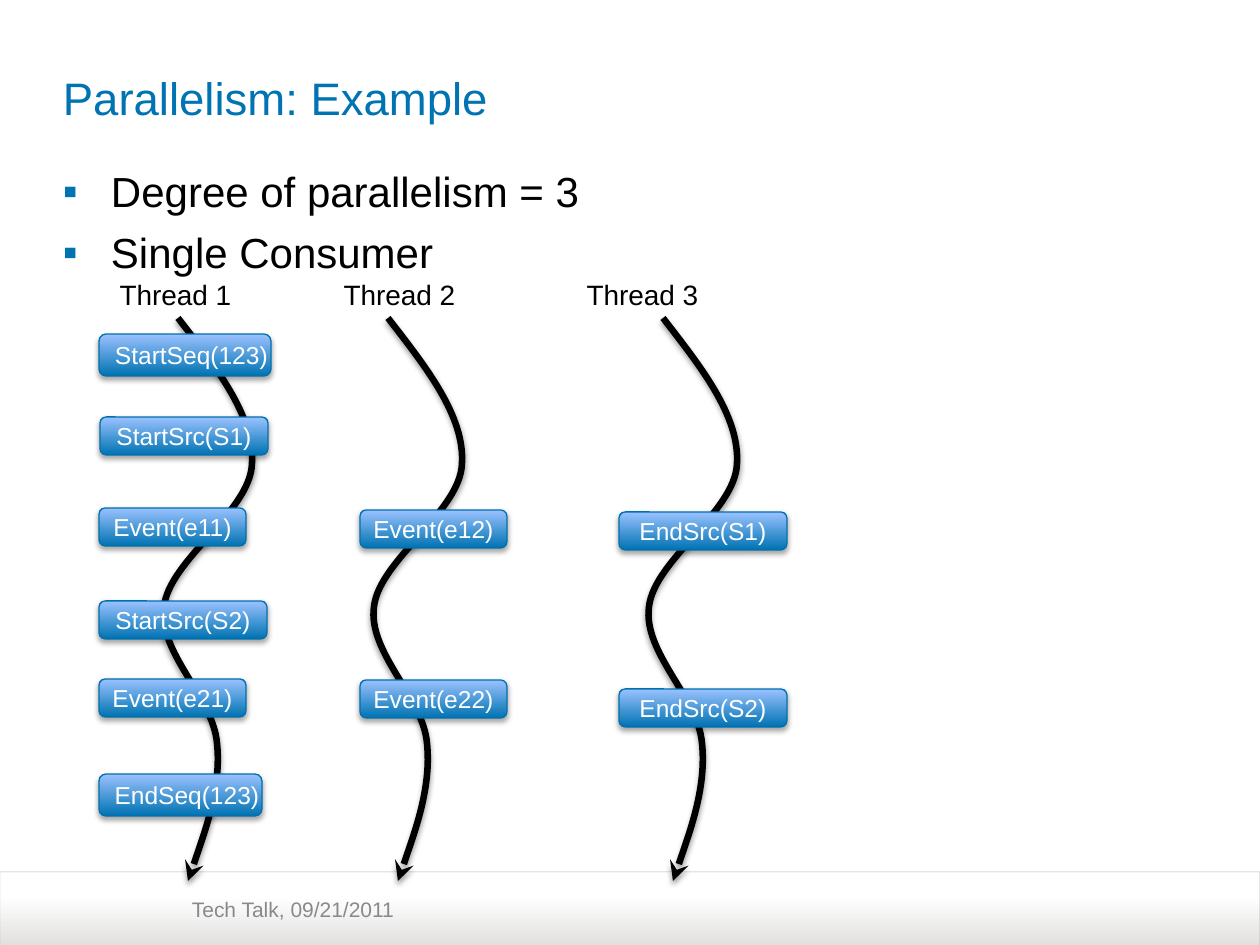
"""Builds the slide "Parallelism: Example" with three threads and their calls."""
from dataclasses import dataclass
from lxml.etree import SubElement
from pptx import Presentation
from pptx.dml.color import RGBColor
from pptx.enum.shapes import MSO_SHAPE
from pptx.enum.text import MSO_ANCHOR, PP_ALIGN
from pptx.oxml.ns import qn
from pptx.util import Emu, Pt

SCALE = 914400 / 126


@dataclass(frozen=True)
class Theme:
    font: str = "Arial"
    accent: str = "0073B2"
    accent_light: str = "9BC2FF"
    card_edge: str = "0070AE"
    ink: str = "000000"
    paper: str = "FFFFFF"
    footer_ink: str = "88898B"
    footer_shade: str = "E1E0DF"
    footer_edge: str = "A6A6A6"
    title_size: int = 26
    body_size: int = 24
    thread_size: int = 16
    card_size: int = 14
    footer_size: int = 12


def px(*lengths):
    return [Emu(round(length * SCALE)) for length in lengths]


def write(shape, text, size, color, align=PP_ALIGN.LEFT, anchor=MSO_ANCHOR.TOP,
          insets=(0, 6, 13, 6), wrap=True, bullet=None):
    frame = shape.text_frame
    frame.word_wrap = wrap
    frame.vertical_anchor = anchor
    frame.margin_left, frame.margin_top, frame.margin_right, frame.margin_bottom = px(*insets)
    frame.text = text
    for index, paragraph in enumerate(frame.paragraphs):
        paragraph.alignment = align
        if bullet:
            properties = paragraph._p.get_or_add_pPr()
            indent = px(48)[0]
            properties.set("marL", str(indent))
            properties.set("indent", str(-indent))
            bullet_color = SubElement(properties, qn("a:buClr"))
            SubElement(bullet_color, qn("a:srgbClr"), val=theme.accent)
            SubElement(properties, qn("a:buFont"), typeface=theme.font)
            SubElement(properties, qn("a:buChar"), char=bullet)
        if index:
            paragraph.space_before = Pt(6)
        for run in paragraph.runs:
            run.font.name = theme.font
            run.font.size = Pt(size)
            run.font.color.rgb = RGBColor.from_string(color)


theme = Theme()
presentation = Presentation()
presentation.slide_width, presentation.slide_height = px(1260, 945)
slide = presentation.slides.add_slide(presentation.slide_layouts[6])
shapes = slide.shapes

footer_band = shapes.add_shape(MSO_SHAPE.ROUND_2_SAME_RECTANGLE, *px(0, 872, 1260, 74))
footer_band.adjustments[0] = 0
footer_band.shadow.inherit = False
footer_band.line.color.rgb = RGBColor.from_string(theme.footer_edge)
footer_band.line.width = Pt(0.25)
footer_edge_color = footer_band.line._ln.find(".//" + qn("a:srgbClr"))
SubElement(footer_edge_color, qn("a:alpha"), val="79000")
write(shapes.add_textbox(*px(192, 891, 390, 43)), "Tech Talk, 09/21/2011",
      theme.footer_size, theme.footer_ink)

CURVE = [(38, 49), (77, 98), (74, 146), (72, 194), (-9, 242), (-14, 289),
         (-20, 335), (35, 379), (39, 425), (44, 471), (10, 563), (10, 563)]
THREAD_TOP = 318
shadowed = []
for start in (663, 388, 178):
    builder = shapes.build_freeform(start, THREAD_TOP, scale=SCALE)
    builder.add_line_segments([(start + x, THREAD_TOP + y) for x, y in CURVE], close=False)
    thread = builder.convert_to_shape()
    segments = thread._element.xpath(".//a:lnTo")
    for first in range(0, len(segments), 3):
        bend = SubElement(segments[0].getparent(), qn("a:cubicBezTo"))
        for segment in segments[first:first + 3]:
            bend.append(segment[0])
    for segment in segments:
        segment.getparent().remove(segment)
    thread.fill.background()
    thread.line.color.rgb = RGBColor.from_string(theme.ink)
    thread.line.width = Pt(3.75)
    SubElement(thread.line._ln, qn("a:tailEnd"), type="stealth")
    shadowed.append((thread, 38, 1.6))

write(shapes.add_textbox(*px(63, 28, 1134, 139)), "Parallelism: Example",
      theme.title_size, theme.accent, anchor=MSO_ANCHOR.MIDDLE, insets=(0, 6, 0, 6))
write(shapes.add_textbox(*px(63, 160, 1134, 116)),
      "Degree of parallelism = 3\nSingle Consumer",
      theme.body_size, theme.ink, bullet="▪")

SEQ_HEIGHT, CALL_HEIGHT = 42, 38
SRC_WIDTH, EVENT_WIDTH = 168, 147
CALLS = [
    ("StartSeq(123)", 99, 334, 172, SEQ_HEIGHT, 13),
    ("StartSrc(S1)", 100, 417, SRC_WIDTH, CALL_HEIGHT, 0),
    ("Event(e11)", 99, 508, EVENT_WIDTH, CALL_HEIGHT, 0),
    ("Event(e12)", 360, 510, EVENT_WIDTH, CALL_HEIGHT, 0),
    ("Event(e21)", 99, 679, EVENT_WIDTH, CALL_HEIGHT, 0),
    ("EndSrc(S1)", 619, 512, SRC_WIDTH, CALL_HEIGHT, 0),
    ("StartSrc(S2)", 99, 601, SRC_WIDTH, CALL_HEIGHT, 0),
    ("EndSrc(S2)", 619, 689, SRC_WIDTH, CALL_HEIGHT, 0),
    ("Event(e22)", 360, 680, EVENT_WIDTH, CALL_HEIGHT, 0),
    ("EndSeq(123)", 99, 774, 163, SEQ_HEIGHT, 13),
]
shaded = [(footer_band, theme.footer_shade, theme.paper, 0.68)]
for label, left, top, width, height, inset in CALLS:
    call = shapes.add_shape(MSO_SHAPE.ROUNDED_RECTANGLE, *px(left, top, width, height))
    call.line.color.rgb = RGBColor.from_string(theme.card_edge)
    call.line.width = Pt(0.75)
    write(call, label, theme.card_size, theme.paper, align=PP_ALIGN.CENTER,
          anchor=MSO_ANCHOR.MIDDLE, insets=(inset, 0, 0, 0))
    shaded.append((call, theme.accent, theme.accent_light, 1))
    shadowed.append((call, 35, 1.8))

for number, left in enumerate((99, 323, 566), start=1):
    write(shapes.add_textbox(*px(left, 272, 166, 44)), f"Thread {number}",
          theme.thread_size, theme.ink, align=PP_ALIGN.CENTER, wrap=False)

for shape, bottom_color, top_color, reach in shaded:
    shape.fill.gradient()
    shape.fill.gradient_angle = 90
    for stop, color, position in zip(shape.fill.gradient_stops,
                                     (bottom_color, top_color), (0, reach)):
        stop.color.rgb = RGBColor.from_string(color)
        stop.position = position

for shape, opacity, distance in shadowed:
    shape.shadow.inherit = False
    effects = shape._element.spPr.find(qn("a:effectLst"))
    shadow = SubElement(effects, qn("a:outerShdw"), blurRad=str(Pt(3.1)),
                        dist=str(Pt(distance)), dir="5400000", rotWithShape="0")
    shadow_color = SubElement(shadow, qn("a:srgbClr"), val=theme.ink)
    SubElement(shadow_color, qn("a:alpha"), val=str(opacity * 1000))

presentation.save("out.pptx")
